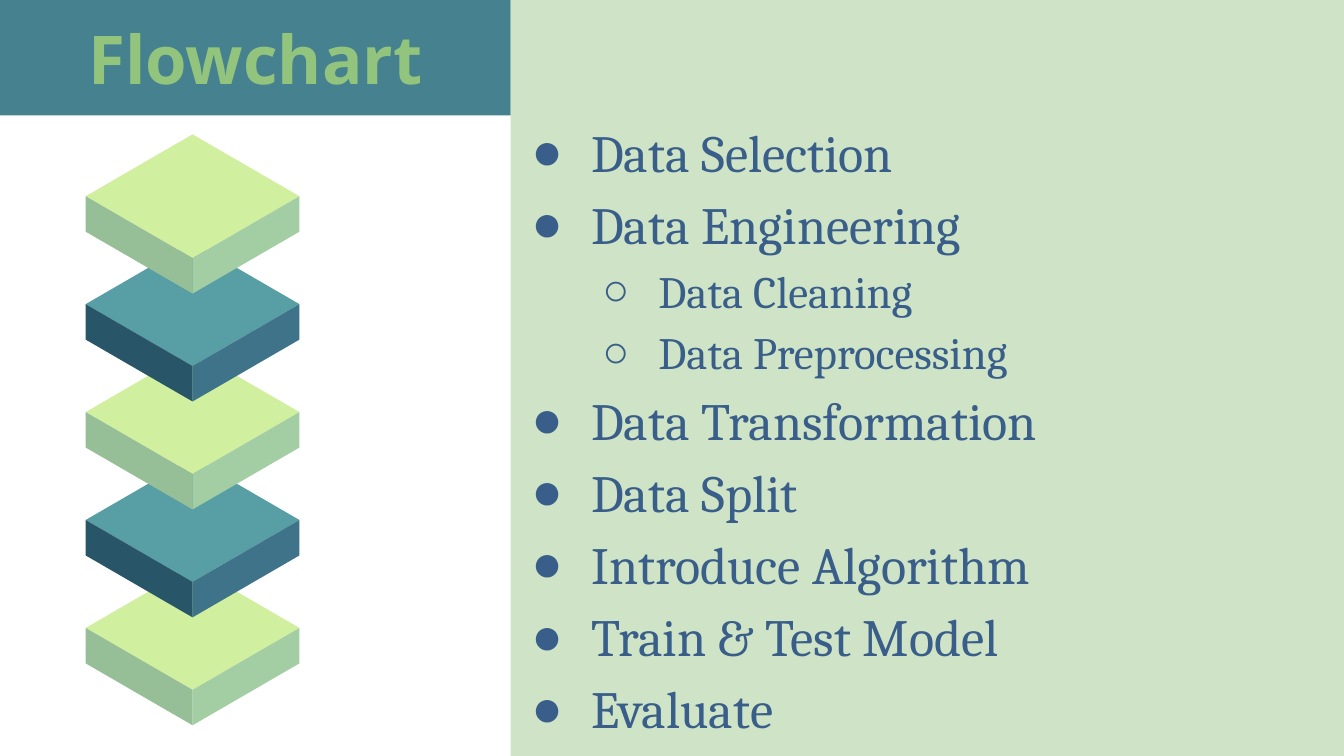
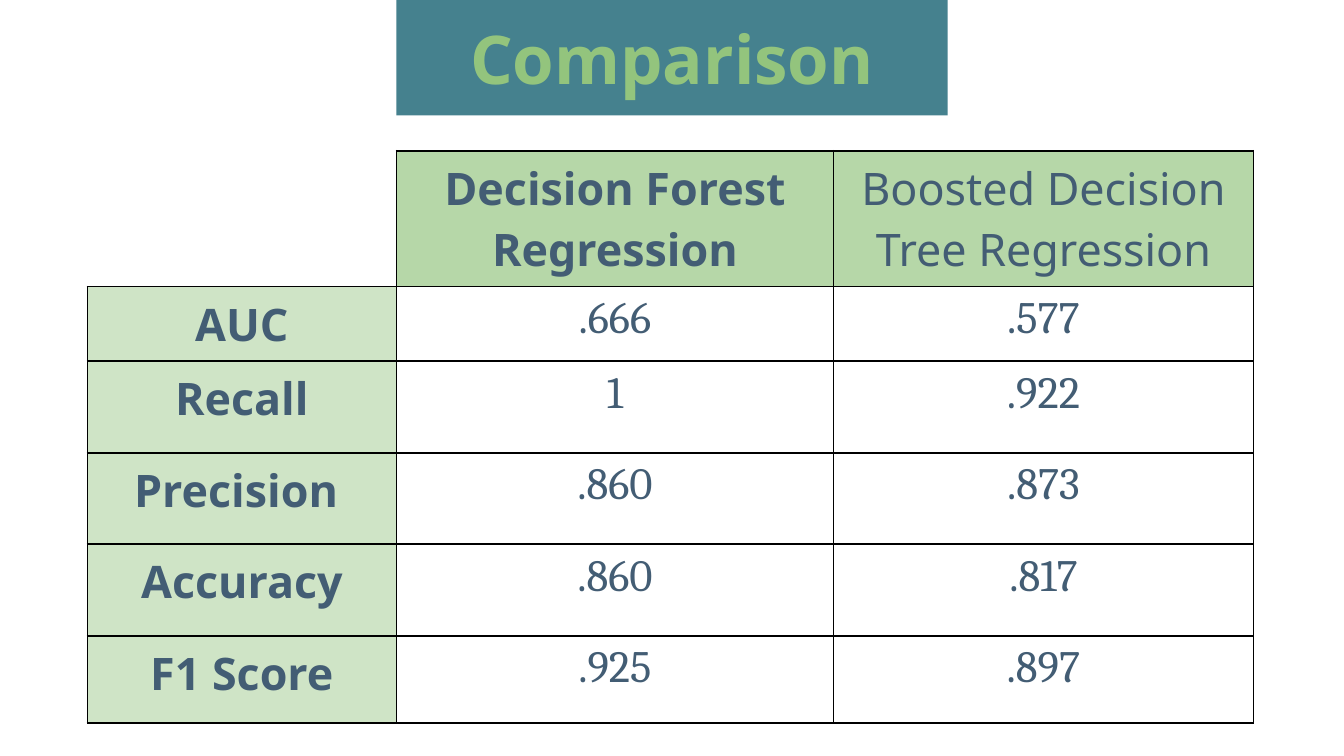
from dataclasses import dataclass

from lxml import etree
from pptx import Presentation
from pptx import util as u
from pptx.dml.color import RGBColor
from pptx.enum import text
from pptx.oxml import ns

Cm = u.Cm


@dataclass(frozen=True)
class Theme:
    heading_font: str = "Noto Sans"
    body_font: str = "Cambria"
    title_size: int = 36
    item_size: int = 28
    small_size: int = 24
    band: str = "45818E"
    title: str = "93C47D"
    panel: str = "B6D7A8"
    panel_opacity: int = 65
    item: str = "395E89"
    cell: str = "435D74"
    white: str = "FFFFFF"
    border: str = "000000"
    border_width: int = 1
    green_block: tuple = ("D0F09F", "96BE97", "A3CEA3")
    blue_block: tuple = ("589EA5", "295568", "3E738A")


class Deck:
    def __init__(self, theme):
        self.theme = theme
        self.presentation = Presentation()
        self.presentation.slide_width = Cm(25.4)
        self.presentation.slide_height = Cm(14.29)
        self.slide = None

    def add_slide(self, layout_name):
        layout = self.presentation.slide_layouts.get_by_name(layout_name)
        self.slide = self.presentation.slides.add_slide(layout)

    @staticmethod
    def place(shape, left, top, width, height):
        shape.left, shape.top = Cm(left), Cm(top)
        shape.width, shape.height = Cm(width), Cm(height)

    @staticmethod
    def fill(fill, properties, color, opacity=100):
        fill.solid()
        fill.fore_color.rgb = RGBColor.from_string(color)
        if opacity < 100:
            color_element = properties.find(ns.qn("a:solidFill"))[0]
            alpha = etree.SubElement(color_element, ns.qn("a:alpha"))
            alpha.set("val", str(opacity * 1000))

    @staticmethod
    def add_run(paragraph, content, font, size, color, bold=False):
        run = paragraph.add_run()
        run.text = content
        run.font.name = font
        run.font.size = u.Pt(size)
        run.font.bold = bold
        run.font.color.rgb = RGBColor.from_string(color)

    def title(self, content, left, width):
        theme = self.theme
        shape = self.slide.shapes.title
        self.place(shape, left, 0, width, 2.18)
        self.fill(shape.fill, shape._element.spPr, theme.band)
        frame = shape.text_frame
        frame.auto_size = text.MSO_AUTO_SIZE.NONE
        frame.vertical_anchor = text.MSO_ANCHOR.MIDDLE
        paragraph = frame.paragraphs[0]
        paragraph.alignment = text.PP_ALIGN.CENTER
        self.add_run(paragraph, content, theme.heading_font,
                     theme.title_size, theme.title, bold=True)

    def bullet(self, paragraph, symbol, margin, hanging):
        properties = paragraph._p.get_or_add_pPr()
        properties.set("marL", str(Cm(margin)))
        properties.set("indent", str(-Cm(hanging)))
        color = etree.SubElement(properties, ns.qn("a:buClr"))
        etree.SubElement(color, ns.qn("a:srgbClr")).set("val", self.theme.item)
        etree.SubElement(properties, ns.qn("a:buChar")).set("char", symbol)

    def bullet_panel(self, items, left, top, width, height):
        theme = self.theme
        shape = self.slide.placeholders[1]
        self.place(shape, left, top, width, height)
        self.fill(shape.fill, shape._element.spPr, theme.panel,
                  theme.panel_opacity)
        frame = shape.text_frame
        frame.auto_size = text.MSO_AUTO_SIZE.NONE
        frame.vertical_anchor = text.MSO_ANCHOR.TOP
        frame.margin_top = Cm(2.1)
        styles = (("●", 1.27, 1.13, theme.item_size),
                  ("○", 2.54, 1.06, theme.small_size))
        for index, (level, content) in enumerate(items):
            paragraph = frame.add_paragraph() if index else frame.paragraphs[0]
            paragraph.level = level
            paragraph.line_spacing = 1.15
            paragraph.space_before = u.Pt(0)
            symbol, margin, hanging, size = styles[level]
            self.bullet(paragraph, symbol, margin, hanging)
            self.add_run(paragraph, content, theme.body_font, size, theme.item)

    def polygon(self, shapes, points, color):
        corners = [(Cm(x), Cm(y)) for x, y in points]
        builder = shapes.build_freeform(*corners[0])
        builder.add_line_segments(corners[1:], close=True)
        shape = builder.convert_to_shape()
        shape.shadow.inherit = False
        self.fill(shape.fill, shape._element.spPr, color)
        shape.line.fill.background()

    def block(self, left, top, colors):
        half_width, half_height, thickness = 2.02, 1.17, 0.67
        middle, right = left + half_width, left + 2 * half_width
        side, front = top + half_height, top + 2 * half_height
        faces = (
            ((middle, top), (left, side), (middle, front), (right, side)),
            ((left, side), (left, side + thickness),
             (middle, front + thickness), (middle, front)),
            ((right, side), (middle, front),
             (middle, front + thickness), (right, side + thickness)),
        )
        group = self.slide.shapes.add_group_shape()
        for points, color in zip(faces, colors):
            self.polygon(group.shapes, points, color)

    def block_stack(self, left, top, pitch, count):
        palettes = (self.theme.green_block, self.theme.blue_block)
        for index in reversed(range(count)):
            self.block(left, top + index * pitch, palettes[index % 2])

    def cell_borders(self, cell, hidden=()):
        properties = cell._tc.get_or_add_tcPr()
        for side in ("L", "R", "T", "B"):
            line = etree.SubElement(properties, ns.qn(f"a:ln{side}"))
            line.set("w", str(u.Pt(self.theme.border_width)))
            if side in hidden:
                etree.SubElement(line, ns.qn("a:noFill"))
            else:
                solid = etree.SubElement(line, ns.qn("a:solidFill"))
                color = etree.SubElement(solid, ns.qn("a:srgbClr"))
                color.set("val", self.theme.border)

    def table(self, rows, left, top, widths, heights):
        theme = self.theme
        frame = self.slide.shapes.add_table(
            len(rows), len(widths), Cm(left), Cm(top),
            Cm(sum(widths)), Cm(sum(heights)))
        table = frame.table
        table.first_row = table.horz_banding = False
        for column, width in zip(table.columns, widths):
            column.width = Cm(width)
        for row, height in zip(table.rows, heights):
            row.height = Cm(height)
        for row_index, row in enumerate(rows):
            for column_index, content in enumerate(row):
                cell = table.cell(row_index, column_index)
                corner = row_index == column_index == 0
                heading = row_index == 0 or column_index == 0
                self.cell_borders(cell, ("L", "T") if corner else ())
                color = theme.panel if heading and not corner else theme.white
                label = column_index == 0 and not corner
                self.fill(cell.fill, cell._tc.tcPr, color,
                          theme.panel_opacity if label else 100)
                if content:
                    paragraph = cell.text_frame.paragraphs[0]
                    paragraph.alignment = text.PP_ALIGN.CENTER
                    font = theme.heading_font if heading else theme.body_font
                    bold = heading and (row_index, column_index) != (0, 2)
                    self.add_run(paragraph, content, font, theme.small_size,
                                 theme.cell, bold)


def flowchart_slide(deck):
    deck.add_slide("Title and Content")
    deck.title("Flowchart", 0, 9.65)
    steps = (
        (0, "Data Selection"),
        (0, "Data Engineering"),
        (1, "Data Cleaning"),
        (1, "Data Preprocessing"),
        (0, "Data Transformation"),
        (0, "Data Split"),
        (0, "Introduce Algorithm"),
        (0, "Train & Test Model"),
        (0, "Evaluate"),
    )
    deck.bullet_panel(steps, 9.65, 0, 15.75, 14.29)
    deck.block_stack(left=1.62, top=2.54, pitch=2.04, count=5)


def comparison_slide(deck):
    deck.add_slide("Title Only")
    deck.title("Comparison", 7.49, 10.42)
    scores = (
        ("", "Decision Forest Regression", "Boosted Decision Tree Regression"),
        ("AUC", ".666", ".577"),
        ("Recall", "1", ".922"),
        ("Precision ", ".860", ".873"),
        ("Accuracy", ".860", ".817"),
        ("F1 Score", ".925", ".897"),
    )
    deck.table(scores, 1.65, 2.85, (5.84, 8.26, 7.94),
               (2.18, 1.3, 1.73, 1.73, 1.73, 1.65))


def main():
    deck = Deck(Theme())
    flowchart_slide(deck)
    comparison_slide(deck)
    deck.presentation.save("out.pptx")


if __name__ == "__main__":
    main()
